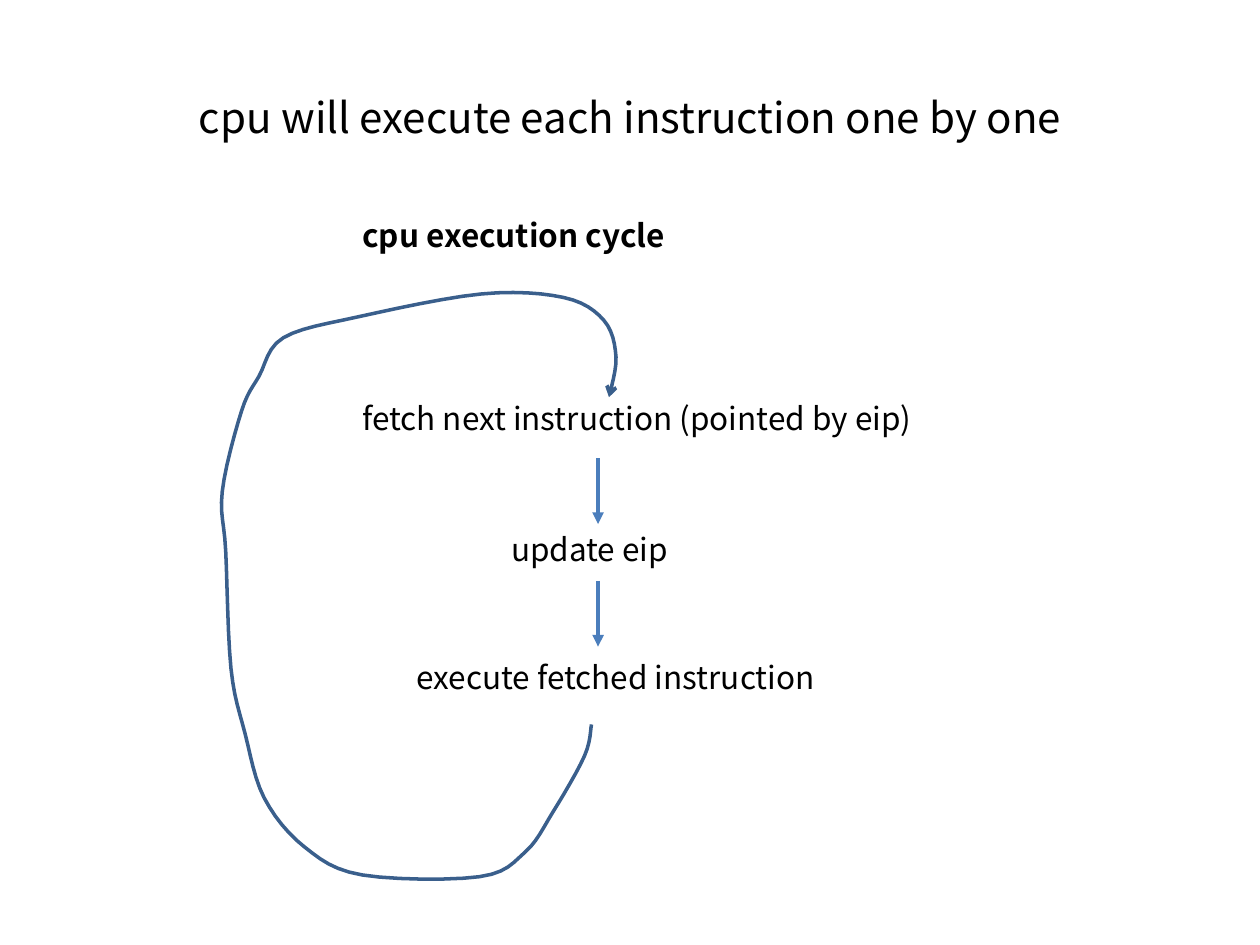
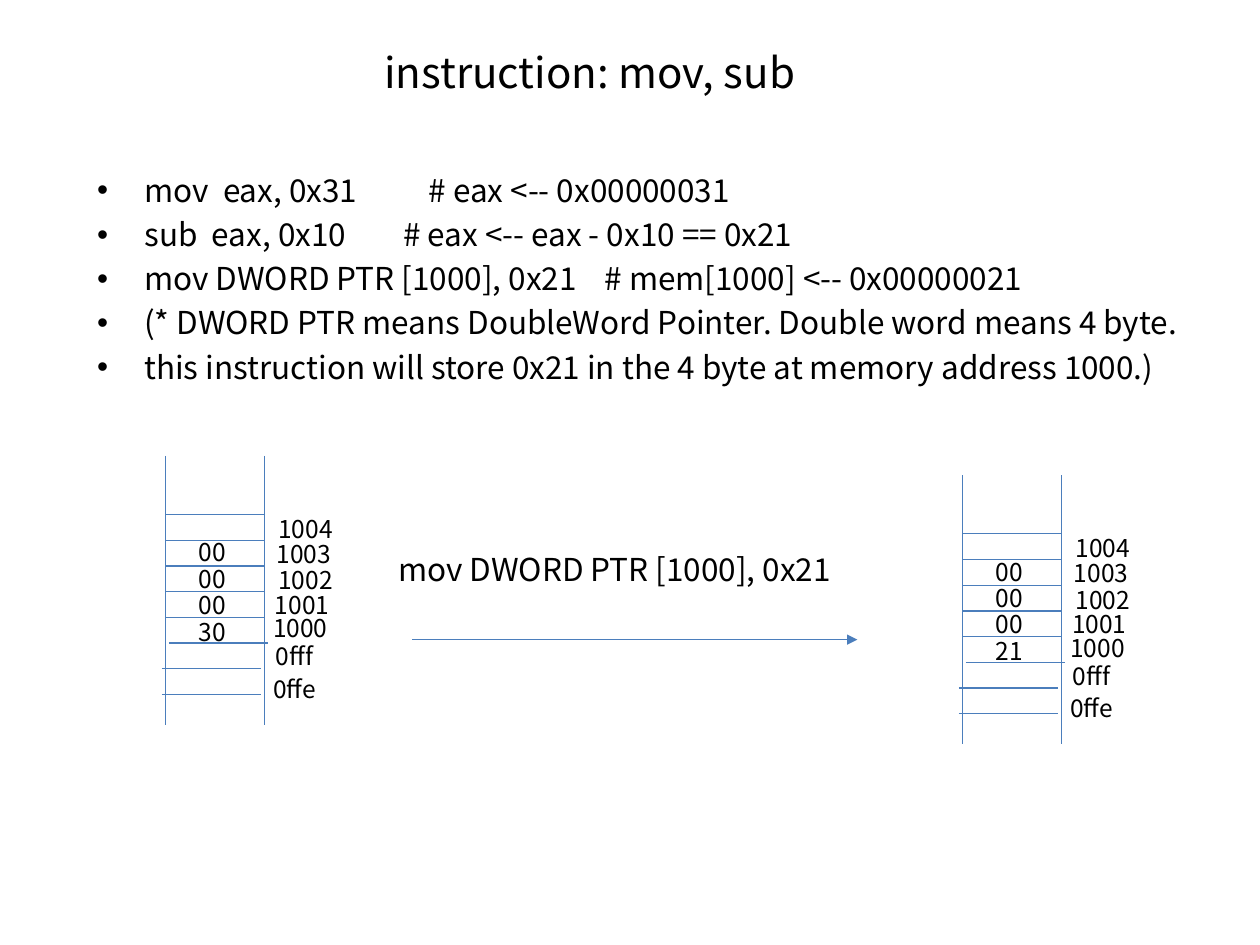
from dataclasses import dataclass
from itertools import chain

from lxml.etree import SubElement
from pptx import Presentation
from pptx.dml.color import RGBColor
from pptx.enum.shapes import MSO_CONNECTOR as Connector
from pptx.enum.text import MSO_ANCHOR as Anchor, MSO_AUTO_SIZE as AutoSize, PP_ALIGN as Align
from pptx.oxml.ns import qn
from pptx.util import Pt


@dataclass(frozen=True)
class Theme:
    font: str = "Noto Sans CJK KR"
    ink: RGBColor = RGBColor(0, 0, 0)
    line: RGBColor = RGBColor.from_string("4B7EBC")
    loop: RGBColor = RGBColor.from_string("3A5F8C")
    title: int = 24
    body: int = 18
    small: int = 14
    thin: float = 0.75
    bold_line: float = 2.25
    loop_line: float = 2


THEME = Theme()

CYCLE_STEPS = [
    ("fetch next instruction (pointed by eip)", 200, 224.5, 335),
    ("update eip", 285, 299.5, 113),
    ("execute fetched instruction", 231, 372.5, 335),
]
STEP_ARROW_X, STEP_ARROW_LENGTH = 341.75, 37.5
STEP_ARROW_TOPS = (262, 332)

LOOP_SIDES = {
    "leave execute": [(338, 414), (334, 432), (316, 464), (300, 487)],
    "bottom": [(274, 501), (207, 500), (174, 484), (151, 456)],
    "left": [(140, 419), (132, 382), (129, 315), (127, 281), (138, 235), (148, 215)],
    "top": [(162, 193), (205, 181), (275, 168), (322, 170)],
    "enter fetch": [(345, 183), (352, 204), (348, 227)],
}
STEPS_PER_SPAN = 6

INSTRUCTIONS = [
    ("mov\teax, 0x31\t# eax <-- 0x00000031", (72, 189.5)),
    ("sub\teax, 0x10\t# eax <-- eax - 0x10 == 0x21", (65.5, 175)),
    ("mov DWORD PTR [1000], 0x21\t# mem[1000] <-- 0x00000021", (290,)),
    ("(* DWORD PTR means DoubleWord Pointer. Double word means 4 byte.", ()),
    ("this instruction will store 0x21 in the 4 byte at memory address 1000.)", ()),
]

COLUMN_WIDTH, COLUMN_HEIGHT = 56.5, 153.5
FIRST_RUNG, RUNG_PITCH = 33.5, 14.7
RUNG_SHIFTS = (0, 0, 0, 0, 0, 2, -2, -2)
FIRST_BYTE, BYTE_PITCH, BYTE_INDENT = 43, 15.1, 12
ADDRESSES = [
    ("1004", 57.5, 29.5), ("1003", 56.5, 44), ("1002", 57.5, 59), ("1001", 55.5, 73),
    ("1000", 54.5, 86.5), ("0fff", 56, 102.5), ("0ffe", 54.5, 121),
]
CELL_LABEL_WIDTH = 57


def style(paragraph, size, bold=False):
    font = paragraph.runs[0].font
    for attribute, value in {"name": THEME.font, "size": Pt(size), "bold": bold}.items():
        setattr(font, attribute, value)
    font.color.rgb = THEME.ink


def place(shape, left, top, width, height):
    edges = {"left": left, "top": top, "width": width, "height": height}
    for attribute, value in edges.items():
        setattr(shape, attribute, Pt(value))


def add_title(slide, text, *box):
    title = slide.shapes.title
    place(title, *box)
    title.text_frame.text = text
    title.text_frame.vertical_anchor = Anchor.MIDDLE
    heading = title.text_frame.paragraphs[0]
    heading.alignment = Align.CENTER
    style(heading, THEME.title)


def add_label(slide, text, left, top, width, size=THEME.body, bold=False):
    label = slide.shapes.add_textbox(Pt(left), Pt(top), Pt(width), Pt(size * 1.2 + 7.4))
    frame = label.text_frame
    frame.word_wrap = True
    frame.auto_size = AutoSize.SHAPE_TO_FIT_TEXT
    frame.text = text
    style(frame.paragraphs[0], size, bold)


def add_arrowhead(shape, kind):
    SubElement(shape.line._get_or_add_ln(), qn("a:tailEnd"), type=kind)


def add_line(slide, x1, y1, x2, y2, weight=THEME.thin, arrow=False):
    line = slide.shapes.add_connector(Connector.STRAIGHT, Pt(x1), Pt(y1), Pt(x2), Pt(y2))
    line.line.color.rgb = THEME.line
    line.line.width = Pt(weight)
    if arrow:
        add_arrowhead(line, "triangle")
    SubElement(line._element.spPr, qn("a:effectLst"))


def between(before, start, end, after, t):
    return (2 * start + (end - before) * t
            + (2 * before - 5 * start + 4 * end - after) * t ** 2
            + (3 * start - before - 3 * end + after) * t ** 3) / 2


def smooth_curve(anchors):
    padded = [anchors[0], *anchors, anchors[-1]]
    curve = [anchors[0]]
    for window in zip(padded, padded[1:], padded[2:], padded[3:]):
        for step in range(1, STEPS_PER_SPAN + 1):
            t = step / STEPS_PER_SPAN
            curve.append(tuple(between(*axis, t) for axis in zip(*window)))
    return curve


def add_loop(slide, sides):
    start, *rest = smooth_curve(list(chain.from_iterable(sides.values())))
    builder = slide.shapes.build_freeform(Pt(start[0]), Pt(start[1]))
    builder.add_line_segments([(Pt(x), Pt(y)) for x, y in rest], close=False)
    loop = builder.convert_to_shape()
    loop.fill.background()
    loop.line.color.rgb = THEME.loop
    loop.line.width = Pt(THEME.loop_line)
    add_arrowhead(loop, "arrow")
    loop.shadow.inherit = False


def add_instructions(slide, items, *box):
    body = slide.placeholders[1]
    place(body, *box)
    frame = body.text_frame
    frame.text = "\n".join(text for text, _ in items)
    for paragraph, (_, stops) in zip(frame.paragraphs, items):
        paragraph.alignment = Align.JUSTIFY
        style(paragraph, THEME.body)
        if stops:
            tabs = SubElement(paragraph._p.get_or_add_pPr(), qn("a:tabLst"))
            for stop in stops:
                SubElement(tabs, qn("a:tab"), pos=str(Pt(stop)), algn="l")


def add_memory(slide, left, top, stored):
    for rail in (left, left + COLUMN_WIDTH):
        add_line(slide, rail, top, rail, top + COLUMN_HEIGHT)
    for row, shift in enumerate(RUNG_SHIFTS):
        start, level = left + shift, top + FIRST_RUNG + row * RUNG_PITCH
        add_line(slide, start, level, start + COLUMN_WIDTH, level)
    for address, shift, drop in ADDRESSES:
        add_label(slide, address, left + shift, top + drop, CELL_LABEL_WIDTH, THEME.small)
    for row, value in enumerate(stored):
        level = top + FIRST_BYTE + row * BYTE_PITCH
        add_label(slide, value, left + BYTE_INDENT, level, CELL_LABEL_WIDTH, THEME.small)


def build_cycle_slide(deck):
    slide = deck.slides.add_slide(deck.slide_layouts[5])
    add_title(slide, "cpu will execute each instruction one by one", 36, 21.6, 648, 90)
    for step in CYCLE_STEPS:
        add_label(slide, *step)
    for top in STEP_ARROW_TOPS:
        add_line(slide, STEP_ARROW_X, top, STEP_ARROW_X, top + STEP_ARROW_LENGTH,
                 THEME.bold_line, arrow=True)
    add_loop(slide, LOOP_SIDES)
    add_label(slide, "cpu execution cycle", 200, 119.75, 211, bold=True)


def build_mov_slide(deck):
    slide = deck.slides.add_slide(deck.slide_layouts[1])
    add_title(slide, "instruction: mov, sub", 13, 19, 648, 44)
    add_instructions(slide, INSTRUCTIONS, 48.25, 94.2, 648, 135.5)
    add_memory(slide, 94.5, 260.5, ["00", "00", "00", "30"])
    add_label(slide, "mov DWORD PTR [1000], 0x21", 220.5, 311, 269)
    add_line(slide, 235.5, 365.5, 490, 365.5, arrow=True)
    add_memory(slide, 550, 271.5, ["00", "00", "00", "21"])


def main():
    deck = Presentation()
    deck.slide_width, deck.slide_height = Pt(720), Pt(540)
    build_cycle_slide(deck)
    build_mov_slide(deck)
    deck.save("out.pptx")


main()
